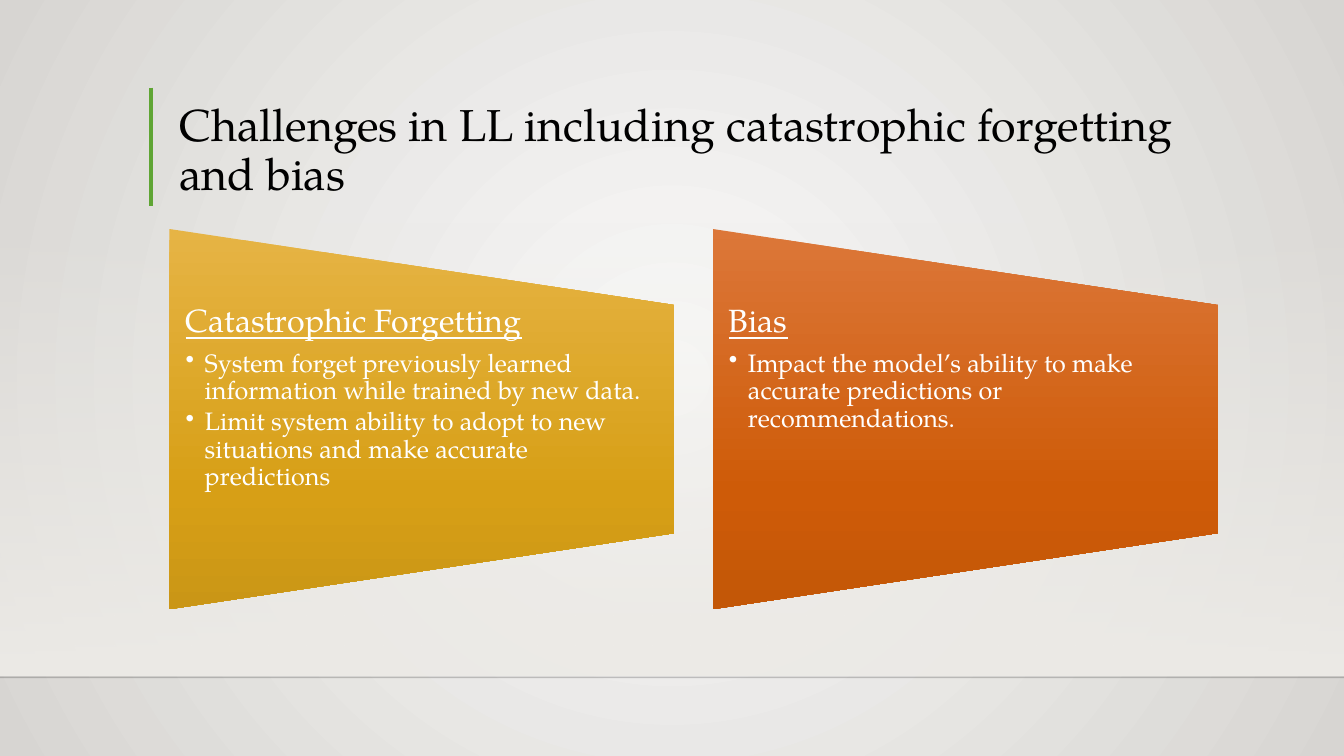
from lxml import etree
from pptx import Presentation
from pptx.dml.color import RGBColor
from pptx.enum.shapes import MSO_CONNECTOR, MSO_SHAPE
from pptx.enum.text import MSO_ANCHOR
from pptx.oxml.ns import qn
from pptx.util import Cm, Pt

STRAIGHT = MSO_CONNECTOR.STRAIGHT
RECTANGLE = MSO_SHAPE.RECTANGLE
TRAPEZOID = MSO_SHAPE.FLOWCHART_MANUAL_OPERATION
TOP = MSO_ANCHOR.TOP
BOTTOM = MSO_ANCHOR.BOTTOM

BLACK = RGBColor(0x00, 0x00, 0x00)
WHITE = RGBColor(0xFF, 0xFF, 0xFF)
GREEN = RGBColor(0x5F, 0xA5, 0x34)
PALE = RGBColor(0xFA, 0xFA, 0xF9)
GREY = RGBColor(0xD7, 0xD5, 0xD2)
FLOOR = RGBColor(0xED, 0xEB, 0xE7)
GOLD = [(0, RGBColor(0xE6, 0xB4, 0x45)), (69, RGBColor(0xD7, 0x9F, 0x16)),
        (100, RGBColor(0xCA, 0x96, 0x16))]
ORANGE = [(0, RGBColor(0xDC, 0x77, 0x39)), (69, RGBColor(0xCE, 0x5B, 0x08)),
          (100, RGBColor(0xC3, 0x57, 0x07))]

SLIDE_WIDTH, SLIDE_HEIGHT = 33.87, 19.05
PANEL_LEFT, PANEL_TOP = 4.27, 5.77
PANEL_WIDTH, PANEL_HEIGHT = 12.73, 9.58
PANEL_PITCH = 13.69

PANELS = [
    (GOLD, "Catastrophic Forgetting",
     ["System forget previously learned information while trained by new data.",
      "Limit system ability to adopt to new situations and make accurate predictions"]),
    (ORANGE, "Bias",
     ["Impact the model\u2019s ability to make accurate predictions or recommendations."]),
]


def add_alpha(color_element, percent):
    etree.SubElement(color_element, qn("a:alpha"), val=str(percent * 1000))


class ChallengeSlide:
    font = "TeX Gyre Pagella"

    def __init__(self, slide):
        self.slide = slide
        self.shapes = slide.shapes

    def gradient(self, owner, stops, radial=False, clear_start=False):
        owner.fill.gradient()
        gradient = self.slide.element.findall(".//" + qn("a:gradFill"))[-1]
        for child in list(gradient):
            gradient.remove(child)
        gradient.set("rotWithShape", "0")
        stop_list = etree.SubElement(gradient, qn("a:gsLst"))
        for position, color in stops:
            stop = etree.SubElement(stop_list, qn("a:gs"), pos=str(position * 1000))
            shade = etree.SubElement(stop, qn("a:srgbClr"), val=str(color))
            if clear_start and position == 0:
                add_alpha(shade, 0)
        if radial:
            circle = etree.SubElement(gradient, qn("a:path"), path="circle")
            etree.SubElement(circle, qn("a:fillToRect"),
                             l="50000", t="50000", r="50000", b="50000")
        else:
            etree.SubElement(gradient, qn("a:lin"), ang="5400000", scaled="0")

    def shape(self, kind, left, top, width, height, stops, rotation=0, clear_start=False):
        shape = self.shapes.add_shape(kind, Cm(left), Cm(top), Cm(width), Cm(height))
        shape.shadow.inherit = False
        shape.line.fill.background()
        shape.rotation = rotation
        self.gradient(shape, stops, clear_start=clear_start)

    def line(self, x1, y1, x2, y2, color, weight, opacity=100):
        line = self.shapes.add_connector(STRAIGHT, Cm(x1), Cm(y1), Cm(x2), Cm(y2))
        line.line.color.rgb = color
        line.line.width = Pt(weight)
        properties = line.element.spPr
        if opacity < 100:
            add_alpha(properties.find(".//" + qn("a:srgbClr")), opacity)
        etree.SubElement(properties, qn("a:effectLst"))

    def text_frame(self, left, top, width, height, anchor):
        box = self.shapes.add_textbox(Cm(left), Cm(top), Cm(width), Cm(height))
        frame = box.text_frame
        frame.word_wrap = True
        frame.vertical_anchor = anchor
        return frame

    def paragraph(self, paragraph, text, size, color, after=0, underline=False, bullet=False):
        paragraph.text = text
        paragraph.line_spacing = 0.9
        paragraph.space_after = Pt(after)
        for run in paragraph.runs:
            run.font.name = self.font
            run.font.size = Pt(size)
            run.font.color.rgb = color
            run.font.underline = underline
        if bullet:
            properties = paragraph._p.get_or_add_pPr()
            properties.set("marL", str(Cm(0.48)))
            properties.set("indent", str(-Cm(0.48)))
            etree.SubElement(properties, qn("a:buChar"), char="\u2022")

    def title(self, text):
        frame = self.text_frame(4.27, 2.24, 26.44, 2.92, BOTTOM)
        self.paragraph(frame.paragraphs[0], text, 32, BLACK)

    def panel(self, left, stops, heading, points):
        self.shape(TRAPEZOID, left + (PANEL_WIDTH - PANEL_HEIGHT) / 2,
                   PANEL_TOP + (PANEL_HEIGHT - PANEL_WIDTH) / 2,
                   PANEL_HEIGHT, PANEL_WIDTH, stops, rotation=270)
        frame = self.text_frame(left, PANEL_TOP + PANEL_HEIGHT / 5,
                                PANEL_WIDTH, PANEL_HEIGHT * 3 / 5, TOP)
        frame.margin_left = frame.margin_right = Cm(0.41)
        frame.margin_top = frame.margin_bottom = 0
        self.paragraph(frame.paragraphs[0], heading, 23, WHITE, after=8, underline=True)
        for point in points:
            self.paragraph(frame.add_paragraph(), point, 18, WHITE, after=2.7, bullet=True)


presentation = Presentation()
presentation.slide_width = Cm(SLIDE_WIDTH)
presentation.slide_height = Cm(SLIDE_HEIGHT)
challenges = ChallengeSlide(presentation.slides.add_slide(presentation.slide_layouts[6]))

challenges.gradient(challenges.slide.background, [(0, PALE), (100, GREY)], radial=True)
challenges.shape(RECTANGLE, 0, 5.59, SLIDE_WIDTH, 11.43, [(0, FLOOR), (100, FLOOR)],
                 clear_start=True)
challenges.line(0, 17.07, SLIDE_WIDTH, 17.07, BLACK, 1, opacity=20)
challenges.line(3.81, 2.21, 3.81, 5.18, GREEN, 3)
challenges.title("Challenges in LL including catastrophic forgetting and bias")
for index, (stops, heading, points) in enumerate(PANELS):
    challenges.panel(PANEL_LEFT + index * PANEL_PITCH, stops, heading, points)

presentation.save("out.pptx")
